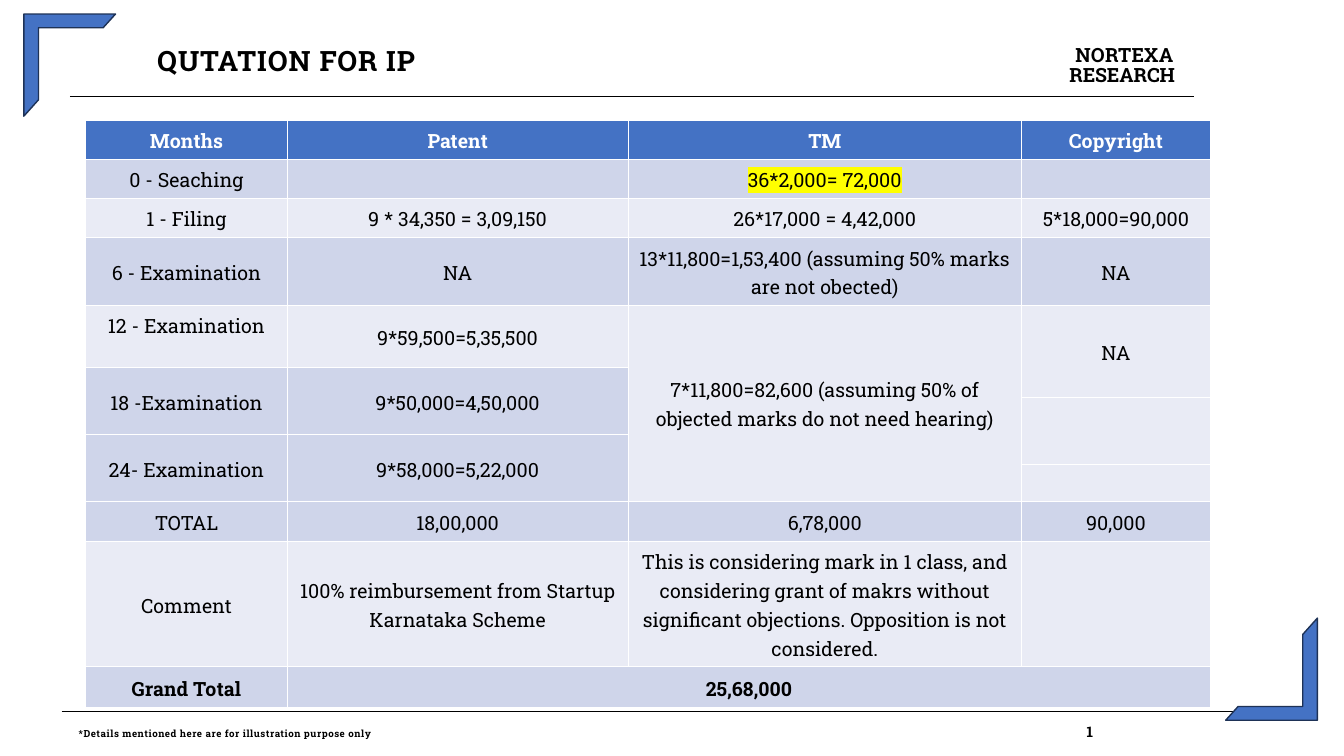
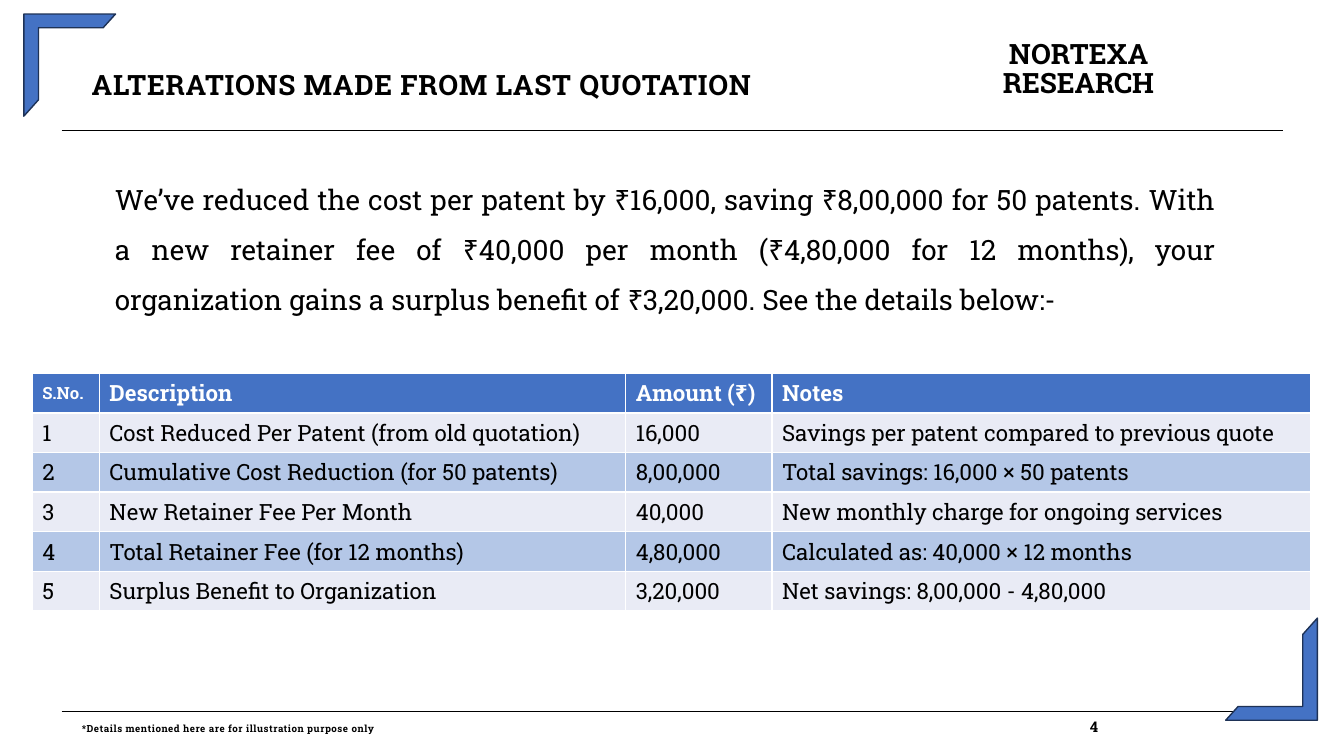
from dataclasses import dataclass

from lxml import etree
from pptx import Presentation
from pptx.dml.color import RGBColor
from pptx.enum import shapes, text
from pptx.oxml import ns
from pptx.util import Pt

FONT = "Roboto Slab"
BLACK = RGBColor(0x00, 0x00, 0x00)
WHITE = RGBColor(0xFF, 0xFF, 0xFF)
BLUE = RGBColor(0x44, 0x72, 0xC4)
NAVY = RGBColor(0x1E, 0x32, 0x56)
MID = RGBColor(0xCF, 0xD5, 0xEA)
PALE = RGBColor(0xE9, 0xEB, 0xF5)
SKY = RGBColor(0xB4, 0xC7, 0xE7)
LEFT = text.PP_ALIGN.LEFT
CENTER = text.PP_ALIGN.CENTER


@dataclass(frozen=True)
class Area:
    left: float
    top: float
    width: float
    height: float

    def lengths(self) -> tuple:
        return Pt(self.left), Pt(self.top), Pt(self.width), Pt(self.height)


@dataclass(frozen=True)
class Rule:
    left: float
    right: float
    y: float
    weight: float = 0.5


@dataclass(frozen=True)
class Heading:
    wording: str
    area: Area
    line_spacing: float
    tracking: float


@dataclass(frozen=True)
class Brand:
    area: Area
    size: float


@dataclass(frozen=True)
class Footer:
    number: str
    left: float
    top: float


@dataclass(frozen=True)
class Grid:
    left: float
    top: float
    widths: tuple
    heights: tuple
    rows: tuple
    tones: tuple
    size: float
    align: text.PP_ALIGN
    line_spacing: float = 1.0
    merges: tuple = ()


FOOTER_RULE = Rule(44, 916.5, 508.3)
CORNERS = ((Area(17, 10, 65.5, 73), 0), (Area(875.5, 441.5, 65.5, 73), 180))

QUOTE = Grid(
    left=61.2,
    top=85.7,
    widths=(144, 243.5, 281, 135),
    heights=(28, 28, 28, 48, 44.5, 21.5, 26.5, 21.5, 26, 28.5, 81.5, 29),
    rows=(
        ("Months", "Patent", "TM", "Copyright"),
        ("0 - Seaching", "", "36*2,000= 72,000", ""),
        ("1 - Filing", "9 * 34,350 = 3,09,150", "26*17,000 = 4,42,000", "5*18,000=90,000"),
        ("6 - Examination", "NA", "13*11,800=1,53,400 (assuming 50% marks are not obected)", "NA"),
        (
            "12 - Examination",
            "9*59,500=5,35,500",
            "7*11,800=82,600 (assuming 50% of objected marks do not need hearing)",
            "NA",
        ),
        ("18 -Examination", "9*50,000=4,50,000", "", ""),
        ("", "", "", ""),
        ("24- Examination", "9*58,000=5,22,000", "", ""),
        ("", "", "", ""),
        ("TOTAL", "18,00,000", "6,78,000", "90,000"),
        (
            "Comment",
            "100% reimbursement from Startup Karnataka Scheme",
            "This is considering mark in 1 class, and considering grant of makrs without "
            "significant objections. Opposition is not considered.",
            "",
        ),
        ("Grand Total", "25,68,000", "", ""),
    ),
    tones=(BLUE, MID, PALE, MID, PALE, MID, MID, MID, MID, MID, PALE, MID),
    size=14,
    align=CENTER,
    line_spacing=1.11,
    merges=(
        (4, 2, 8, 2),
        (4, 3, 5, 3),
        (5, 0, 6, 0),
        (5, 1, 6, 1),
        (6, 3, 7, 3),
        (7, 0, 8, 0),
        (7, 1, 8, 1),
        (11, 1, 11, 3),
    ),
)

CHANGES = Grid(
    left=23,
    top=266.8,
    widths=(48, 376, 104.5, 384.5),
    heights=(26.2,) * 6,
    rows=(
        ("S.No.", "Description", "Amount (₹)", "Notes"),
        ("1", "Cost Reduced Per Patent (from old quotation)", "16,000",
         "Savings per patent compared to previous quote"),
        ("2", "Cumulative Cost Reduction (for 50 patents)", "8,00,000",
         "Total savings: 16,000 × 50 patents"),
        ("3", "New Retainer Fee Per Month", "40,000", "New monthly charge for ongoing services"),
        ("4", "Total Retainer Fee (for 12 months)", "4,80,000", "Calculated as: 40,000 × 12 months"),
        ("5", "Surplus Benefit to Organization", "3,20,000", "Net savings: 8,00,000 - 4,80,000"),
    ),
    tones=(BLUE, PALE, SKY, PALE, SKY, PALE),
    size=16,
    align=LEFT,
)


def add_span(para, wording: str, size: float, color: RGBColor = BLACK,
             bold: bool = False, tracking: float = 0):
    span = para.add_run()
    span.text = wording
    span.font.name = FONT
    span.font.size = Pt(size)
    span.font.bold = bold
    span.font.color.rgb = color
    if tracking:
        span.font._element.set("spc", str(round(tracking * 100)))
    return span


def prepare_frame(box, inset: bool = False):
    frame = box.text_frame
    frame.word_wrap = True
    frame.auto_size = text.MSO_AUTO_SIZE.NONE
    frame.vertical_anchor = text.MSO_ANCHOR.TOP
    if not inset:
        frame.margin_left = frame.margin_right = Pt(0)
        frame.margin_top = frame.margin_bottom = Pt(0)
    return frame.paragraphs[0]


def add_box(page, area: Area, inset: bool = False):
    return prepare_frame(page.shapes.add_textbox(*area.lengths()), inset)


def add_rule(page, rule: Rule) -> None:
    line = page.shapes.add_connector(
        shapes.MSO_CONNECTOR.STRAIGHT, Pt(rule.left), Pt(rule.y), Pt(rule.right), Pt(rule.y))
    line.line.color.rgb = BLACK
    line.line.width = Pt(rule.weight)
    etree.SubElement(line._element.spPr, ns.qn("a:effectLst"))


def add_corner(page, area: Area, rotation: float) -> None:
    corner = page.shapes.add_shape(shapes.MSO_SHAPE.HALF_FRAME, *area.lengths())
    corner.adjustments[0] = 0.15
    corner.adjustments[1] = 0.16
    corner.rotation = rotation
    corner.shadow.inherit = False
    corner.fill.solid()
    corner.fill.fore_color.rgb = BLUE
    corner.line.color.rgb = NAVY
    corner.line.width = Pt(1)


def add_brand(page, brand: Brand) -> None:
    para = add_box(page, brand.area)
    para.line_spacing = 0.87
    para._p.get_or_add_pPr().set("marL", str(Pt(0.7)))
    para._p.get_or_add_pPr().set("indent", str(Pt(4.3)))
    add_span(para, "NORTEXA", brand.size, bold=True, tracking=0.1)
    add_span(para, " RESEARCH", brand.size, bold=True, tracking=-0.1)


def add_footer(page, footer: Footer) -> None:
    para = add_box(page, Area(footer.left, footer.top, 858, 16))
    stops = etree.SubElement(para._p.get_or_add_pPr(), ns.qn("a:tabLst"))
    etree.SubElement(stops, ns.qn("a:tab"), pos=str(Pt(720)), algn="l")
    para.line_spacing = 0.84
    add_span(para, "*Details mentioned here are for illustration purpose only\t", 7,
             bold=True, tracking=0.4)
    add_span(para, footer.number, 10.5, bold=True, tracking=0.4)


def add_page(deck, heading: Heading, rule: Rule, brand: Brand, footer: Footer):
    page = deck.slides.add_slide(deck.slide_layouts[5])
    title = page.shapes.title
    title.left, title.top, title.width, title.height = heading.area.lengths()
    para = prepare_frame(title)
    para.alignment = LEFT
    para.line_spacing = heading.line_spacing
    add_span(para, heading.wording, 20, bold=True, tracking=heading.tracking)
    for line in (rule, FOOTER_RULE):
        add_rule(page, line)
    for area, rotation in CORNERS:
        add_corner(page, area, rotation)
    add_brand(page, brand)
    add_footer(page, footer)
    return page


def add_grid(page, grid: Grid):
    area = Area(grid.left, grid.top, sum(grid.widths), sum(grid.heights))
    table = page.shapes.add_table(len(grid.rows), len(grid.widths), *area.lengths()).table
    for column, width in zip(table.columns, grid.widths):
        column.width = Pt(width)
    for row, height in zip(table.rows, grid.heights):
        row.height = Pt(height)
    for row_index, (wordings, tone) in enumerate(zip(grid.rows, grid.tones)):
        header = row_index == 0
        for column_index, wording in enumerate(wordings):
            cell = table.cell(row_index, column_index)
            cell.vertical_anchor = text.MSO_ANCHOR.MIDDLE
            cell.fill.solid()
            cell.fill.fore_color.rgb = tone
            para = cell.text_frame.paragraphs[0]
            para.alignment = grid.align
            para.line_spacing = grid.line_spacing
            if wording:
                add_span(para, wording, grid.size, WHITE if header else BLACK, header)
            else:
                etree.SubElement(para._p, ns.qn("a:endParaRPr"), sz=str(grid.size * 100))
    for top, left, bottom, right in grid.merges:
        table.cell(top, left).merge(table.cell(bottom, right))
    return table


def cell_span(table, row: int, column: int):
    return table.cell(row, column).text_frame.paragraphs[0].runs[0]


def highlight(span, color: RGBColor) -> None:
    mark = etree.Element(ns.qn("a:highlight"))
    etree.SubElement(mark, ns.qn("a:srgbClr"), val=str(color))
    span.font._element.find(ns.qn("a:solidFill")).addnext(mark)


def build_quote(deck) -> None:
    page = add_page(
        deck,
        Heading("QUTATION FOR IP", Area(112.3, 35, 649, 25), 0.82, 0.7),
        Rule(50, 853, 68.5),
        Brand(Area(763.2, 32.7, 86.4, 31), 14),
        Footer("1", 56.2, 518.7),
    )
    table = add_grid(page, QUOTE)
    for row in range(4, 9):
        for column in (2, 3):
            table.cell(row, column).fill.fore_color.rgb = PALE
    table.cell(4, 0).vertical_anchor = text.MSO_ANCHOR.TOP
    highlight(cell_span(table, 1, 2), RGBColor(0xFF, 0xFF, 0x00))
    for column in (0, 1):
        cell_span(table, 11, column).font.bold = True


def build_changes(deck) -> None:
    page = add_page(
        deck,
        Heading("ALTERATIONS MADE FROM LAST QUOTATION", Area(65.5, 51.8, 640, 30), 0.87, 0.5),
        Rule(44, 916.5, 93.2, 0.7),
        Brand(Area(715.7, 29.5, 136, 45), 20),
        Footer("4", 58.5, 515),
    )
    para = add_box(page, Area(75, 114.5, 800.5, 112.5), inset=True)
    para.alignment = text.PP_ALIGN.JUSTIFY
    para.line_spacing = 1.5
    add_span(
        para,
        "We’ve reduced the cost per patent by ₹16,000, saving ₹8,00,000 for 50 patents. "
        "With a new retainer fee of ₹40,000 per month (₹4,80,000 for 12 months), your "
        "organization gains a surplus benefit of ₹3,20,000. See the details below:-",
        20,
    )
    table = add_grid(page, CHANGES)
    cell_span(table, 0, 0).font.size = Pt(12)


def main() -> None:
    deck = Presentation()
    deck.slide_width, deck.slide_height = Pt(960), Pt(540)
    build_quote(deck)
    build_changes(deck)
    deck.save("out.pptx")


if __name__ == "__main__":
    main()
